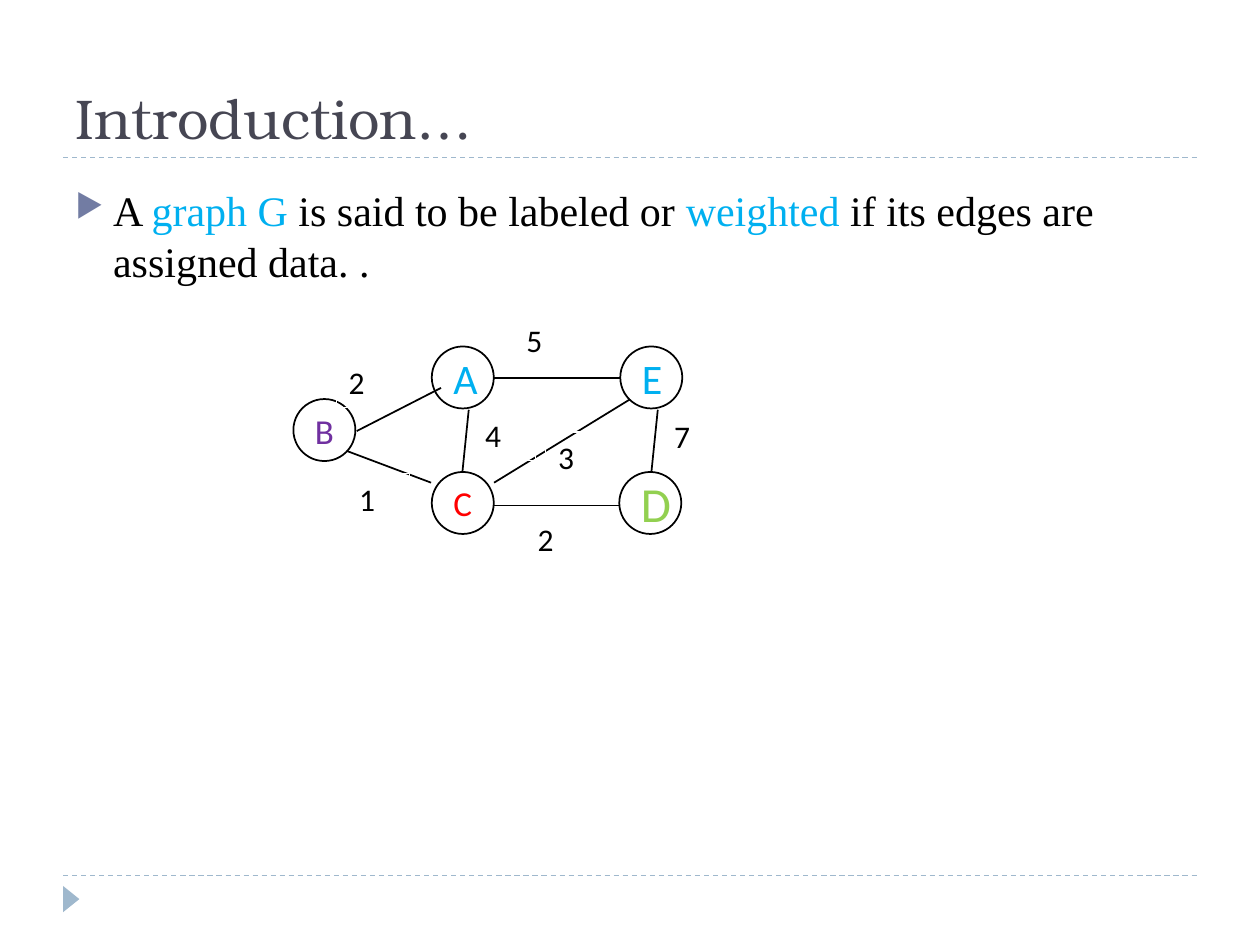
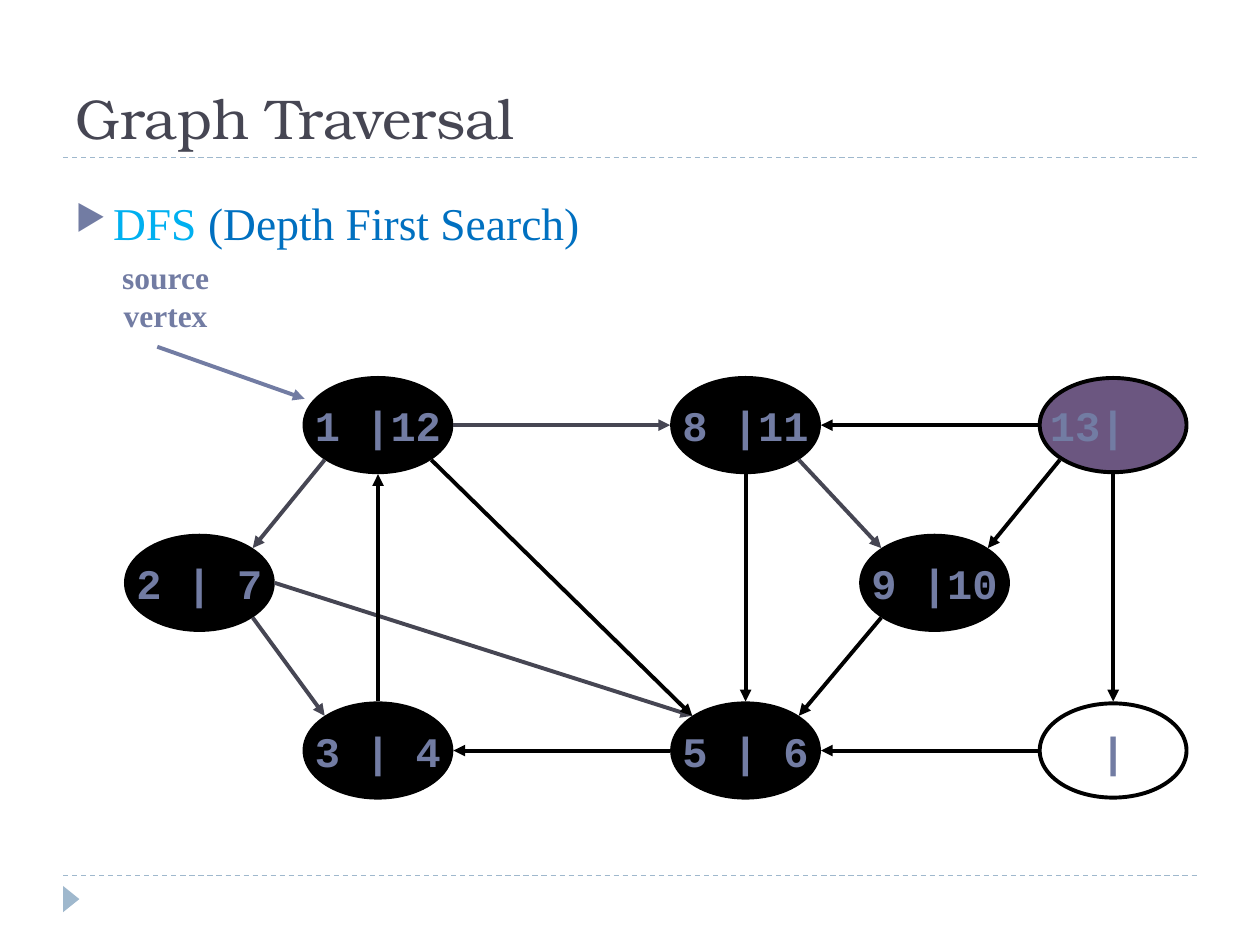
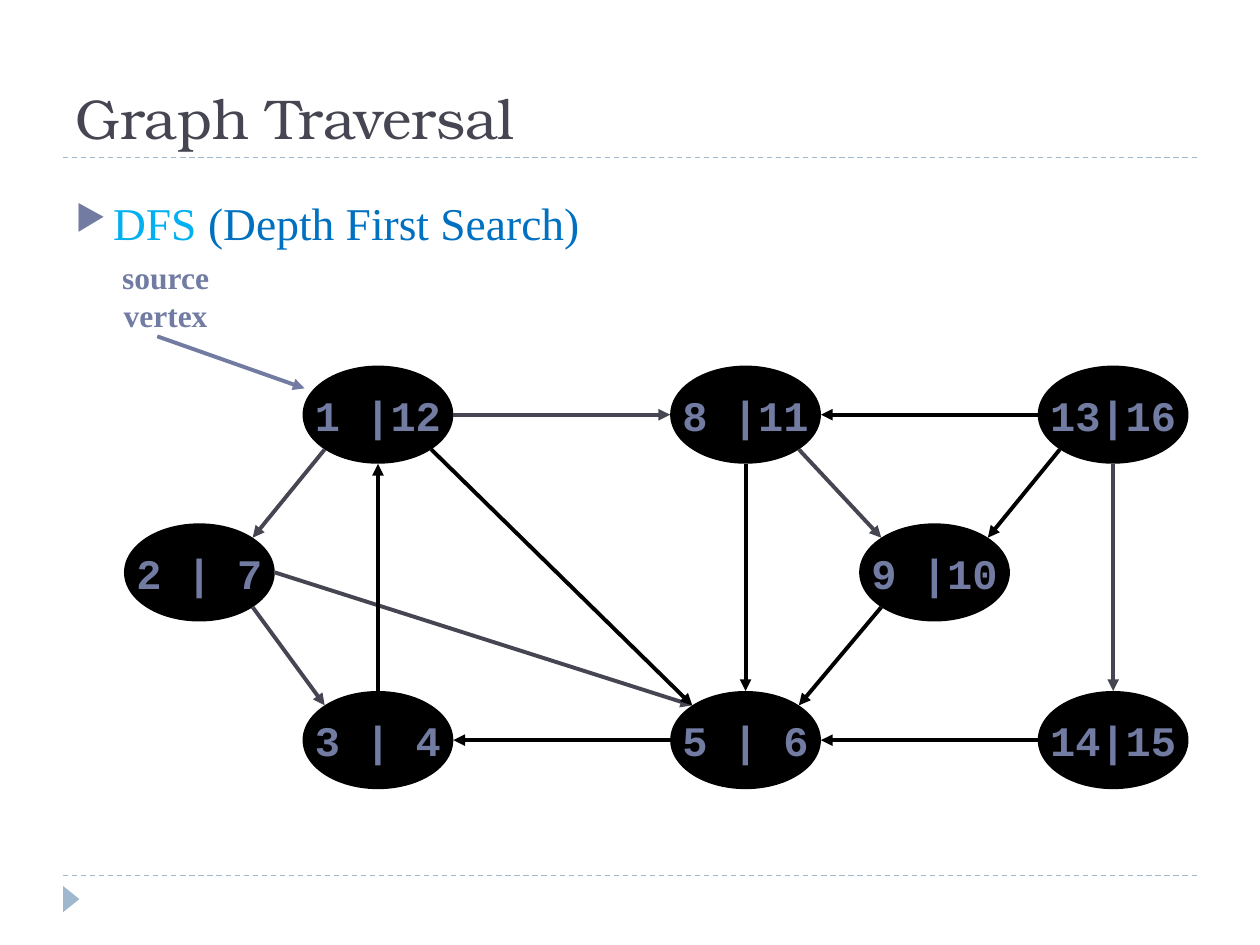
import math
from dataclasses import dataclass
from typing import NamedTuple

import pptx
import pptx.dml.color
import pptx.enum.dml
import pptx.enum.shapes
import pptx.enum.text
import pptx.oxml
import pptx.oxml.ns
import pptx.util

Cm = pptx.util.Cm
Pt = pptx.util.Pt
PRESET = pptx.enum.shapes.MSO_SHAPE
ANCHOR = pptx.enum.text.MSO_ANCHOR
ALIGN = pptx.enum.text.PP_ALIGN


@dataclass(frozen=True)
class Theme:
    title: str = "464653"
    rule: str = "9FB8CD"
    accent: str = "727CA3"
    black: str = "000000"
    white: str = "FFFFFF"
    sky: str = "00B0F0"
    blue: str = "0070C0"
    red: str = "FF0000"
    green: str = "92D050"
    purple: str = "7030A0"
    active: str = "6B5680"
    title_font: str = "TeX Gyre Bonum"
    body_font: str = "Times New Roman"
    label_font: str = "Calibri"
    time_font: str = "Courier New"
    title_size: int = 32
    search_size: int = 26
    body_size: int = 24
    small_size: int = 18
    thin: float = 0.75
    edge: float = 1
    arrow: float = 2.25


THEME = Theme()


class Point(NamedTuple):
    x: float
    y: float


class Box(NamedTuple):
    left: float
    top: float
    width: float
    height: float

    def lengths(self) -> list:
        return [Cm(value) for value in self]


class Run(NamedTuple):
    text: str
    font: str
    size: float
    color: str
    bold: bool = False


class WeightedNode(NamedTuple):
    letter: str
    center: Point
    size: int
    color: str


class WeightedEdge(NamedTuple):
    start: Point
    end: Point
    weight: str
    label_corner: Point


class Vertex(NamedTuple):
    center: Point
    times: str


class Arc(NamedTuple):
    """A directed edge; the sides are angles in degrees, clockwise from the right."""
    start: str
    start_side: int
    end: str
    end_side: int


RIGHT, BOTTOM_RIGHT, BOTTOM, BOTTOM_LEFT = 0, 45, 90, 135
LEFT, TOP_LEFT, TOP, TOP_RIGHT = 180, 225, 270, 315

NODE_SIZE = 1.25
WEIGHTED_NODES = [
    WeightedNode("A", Point(9.33, 7.61), 24, THEME.sky),
    WeightedNode("E", Point(13.13, 7.61), 24, THEME.sky),
    WeightedNode("C", Point(9.33, 10.14), 20, THEME.red),
    WeightedNode("D", Point(13.11, 10.14), 28, THEME.green),
    WeightedNode("B", Point(6.54, 8.67), 20, THEME.purple),
]
WEIGHTED_EDGES = [
    WeightedEdge(Point(7.19, 8.69), Point(8.89, 7.82), "2", Point(6.78, 7.19)),
    WeightedEdge(Point(6.99, 9.09), Point(8.69, 9.73), "1", Point(6.99, 9.55)),
    WeightedEdge(Point(9.96, 7.62), Point(12.5, 7.62), "5", Point(10.36, 6.35)),
    WeightedEdge(Point(9.32, 9.53), Point(9.45, 8.26), "4", Point(9.53, 8.26)),
    WeightedEdge(Point(9.93, 10.19), Point(12.47, 10.19), "2", Point(10.59, 10.36)),
    WeightedEdge(Point(13.13, 9.53), Point(13.26, 8.26), "7", Point(13.34, 8.28)),
    WeightedEdge(Point(9.96, 9.73), Point(12.7, 8.05), "3", Point(11, 8.71)),
]

VERTEX_WIDTH, VERTEX_HEIGHT = 2.96, 1.9
ARROW_GAP = 0.04
TOP_ROW, MIDDLE_ROW, BOTTOM_ROW = 8.57, 11.75, 15.13
VERTICES = {
    "s": Vertex(Point(7.62, TOP_ROW), "1 |12"),
    "u": Vertex(Point(15.03, TOP_ROW), "8 |11"),
    "v": Vertex(Point(22.44, TOP_ROW), "13|16"),
    "t": Vertex(Point(22.44, BOTTOM_ROW), "14|15"),
    "y": Vertex(Point(15.03, BOTTOM_ROW), "5 | 6"),
    "x": Vertex(Point(7.62, BOTTOM_ROW), "3 | 4"),
    "z": Vertex(Point(4.02, MIDDLE_ROW), "2 | 7"),
    "w": Vertex(Point(18.84, MIDDLE_ROW), "9 |10"),
}
TREE_ARCS = [
    Arc("s", BOTTOM_LEFT, "z", TOP_RIGHT),
    Arc("z", BOTTOM_RIGHT, "x", TOP_LEFT),
    Arc("z", RIGHT, "y", TOP_LEFT),
    Arc("s", RIGHT, "u", LEFT),
    Arc("u", BOTTOM_RIGHT, "w", TOP_LEFT),
]
OTHER_ARCS = [
    Arc("y", LEFT, "x", RIGHT),
    Arc("x", TOP, "s", BOTTOM),
    Arc("s", BOTTOM_RIGHT, "y", TOP_LEFT),
    Arc("u", BOTTOM, "y", TOP),
    Arc("v", LEFT, "u", RIGHT),
    Arc("v", BOTTOM_LEFT, "w", TOP_RIGHT),
    Arc("t", LEFT, "y", RIGHT),
    Arc("w", BOTTOM_LEFT, "y", TOP_RIGHT),
]
LAST_ARC = Arc("v", BOTTOM, "t", TOP)


def rgb(color: str) -> pptx.dml.color.RGBColor:
    return pptx.dml.color.RGBColor.from_string(color)


def add_run(paragraph, run: Run) -> None:
    part = paragraph.add_run()
    part.text = run.text
    part.font.name = run.font
    part.font.size = Pt(run.size)
    part.font.bold = run.bold
    part.font.color.rgb = rgb(run.color)


def add_text_box(slide, box: Box, runs: list[Run], anchor=ANCHOR.TOP, wrap: bool = True):
    """Add a one-paragraph text box and return its paragraph."""
    frame = slide.shapes.add_textbox(*box.lengths()).text_frame
    frame.word_wrap = wrap
    frame.vertical_anchor = anchor
    paragraph = frame.paragraphs[0]
    for run in runs:
        add_run(paragraph, run)
    return paragraph


def add_bullet_text(slide, top: float, height: float, runs: list[Run]) -> None:
    paragraph = add_text_box(slide, Box(1.27, top, 22.86, height), runs)
    properties = paragraph._p.get_or_add_pPr()
    properties.set("marL", str(Cm(0.76)))
    properties.set("indent", str(-Cm(0.76)))
    namespace = pptx.oxml.ns.nsdecls("a")
    for element in (
        f'<a:buClr {namespace}><a:srgbClr val="{THEME.accent}"/></a:buClr>',
        f'<a:buSzPct {namespace} val="76000"/>',
        f'<a:buChar {namespace} char="▶"/>',
    ):
        properties.append(pptx.oxml.parse_xml(element))


def add_line(slide, start: Point, end: Point, color: str, width: float,
             arrow: bool = False, dashed: bool = False) -> None:
    connector = slide.shapes.add_connector(
        pptx.enum.shapes.MSO_CONNECTOR.STRAIGHT,
        Cm(start.x), Cm(start.y), Cm(end.x), Cm(end.y))
    connector.line.color.rgb = rgb(color)
    connector.line.width = Pt(width)
    if dashed:
        connector.line.dash_style = pptx.enum.dml.MSO_LINE.DASH
    namespace = pptx.oxml.ns.nsdecls("a")
    properties = connector._element.spPr
    if arrow:
        outline = properties.find(pptx.oxml.ns.qn("a:ln"))
        outline.append(pptx.oxml.parse_xml(f'<a:tailEnd {namespace} type="triangle"/>'))
    properties.append(pptx.oxml.parse_xml(f"<a:effectLst {namespace}/>"))


def add_preset(slide, preset, box: Box, fill: str | None = None,
               line: str | None = None, line_width: float = THEME.thin):
    shape = slide.shapes.add_shape(preset, *box.lengths())
    shape.shadow.inherit = False
    if fill:
        shape.fill.solid()
        shape.fill.fore_color.rgb = rgb(fill)
    else:
        shape.fill.background()
    if line:
        shape.line.color.rgb = rgb(line)
        shape.line.width = Pt(line_width)
    else:
        shape.line.fill.background()
    return shape


def set_shape_text(shape, run: Run, align, anchor=ANCHOR.MIDDLE, wrap: bool = False) -> None:
    frame = shape.text_frame
    frame.word_wrap = wrap
    frame.vertical_anchor = anchor
    frame.paragraphs[0].alignment = align
    add_run(frame.paragraphs[0], run)


def box_around(center: Point, width: float, height: float) -> Box:
    return Box(center.x - width / 2, center.y - height / 2, width, height)


def add_titled_slide(presentation, title: str):
    slide = presentation.slides.add_slide(presentation.slide_layouts[6])
    for height in (17.65, 3.17):
        add_line(slide, Point(1.27, height), Point(24.13, height),
                 THEME.rule, THEME.thin, dashed=True)
    marker = add_preset(slide, PRESET.ISOSCELES_TRIANGLE,
                        Box(1.17, 17.96, 0.53, 0.33), THEME.rule)
    marker.rotation = 90
    add_text_box(slide, Box(1.27, 0.43, 22.86, 2.74),
                 [Run(title, THEME.title_font, THEME.title_size, THEME.title)],
                 ANCHOR.BOTTOM)
    return slide


def build_weighted_graph_slide(presentation) -> None:
    slide = add_titled_slide(presentation, "Introduction…")
    sentence = [
        ("A ", THEME.black),
        ("graph G", THEME.sky),
        (" is said to be labeled or ", THEME.black),
        ("weighted", THEME.sky),
        (" if its edges are assigned data. .", THEME.black),
    ]
    add_bullet_text(slide, 3.6, 2.4, [
        Run(text, THEME.body_font, THEME.body_size, color) for text, color in sentence])
    for node in WEIGHTED_NODES:
        circle = add_preset(slide, PRESET.OVAL, box_around(node.center, NODE_SIZE, NODE_SIZE),
                            THEME.white, THEME.black, THEME.edge)
        set_shape_text(circle, Run(node.letter, THEME.label_font, node.size, node.color),
                       ALIGN.LEFT)
    for edge in WEIGHTED_EDGES:
        add_line(slide, edge.start, edge.end, THEME.black, THEME.edge)
    for edge in WEIGHTED_EDGES:
        label = add_preset(slide, PRESET.RECTANGLE, Box(*edge.label_corner, 1.27, 1.02),
                           line=THEME.white)
        set_shape_text(label, Run(edge.weight, THEME.label_font, THEME.small_size, THEME.black),
                       ALIGN.LEFT, ANCHOR.TOP, wrap=True)


def add_vertex(slide, center: Point, times: str, fill: str | None) -> None:
    ellipse = add_preset(slide, PRESET.OVAL, box_around(center, VERTEX_WIDTH, VERTEX_HEIGHT),
                         fill, THEME.black, THEME.arrow)
    set_shape_text(ellipse, Run(times, THEME.time_font, THEME.body_size, THEME.accent, True),
                   ALIGN.CENTER)
    if times.endswith("|"):
        # Leaves room for the finishing time after a discovery time.
        ellipse.text_frame.margin_left = 0
        ellipse.text_frame.margin_right = Cm(1.02 if len(times) > 1 else 0)


def point_on_vertex(center: Point, side: int) -> Point:
    angle = math.radians(side)
    return Point(center.x + (VERTEX_WIDTH / 2 + ARROW_GAP) * math.cos(angle),
                 center.y + (VERTEX_HEIGHT / 2 + ARROW_GAP) * math.sin(angle))


def build_search_slide(presentation, rise: float, open_times: dict[str, str],
                       open_fills: dict[str, str | None], last_arc_in_tree: bool) -> None:
    """Draw one step of the search; vertices not listed as open are finished."""
    slide = add_titled_slide(presentation, "Graph Traversal")
    add_bullet_text(slide, 3.8, 1.4, [
        Run("DFS ", THEME.body_font, THEME.search_size, THEME.sky),
        Run("(Depth First Search)", THEME.body_font, THEME.search_size, THEME.blue)])
    source, vertex_word = [
        Run(word, THEME.body_font, THEME.small_size, THEME.accent, True)
        for word in ("source", "vertex")]
    caption = add_text_box(slide, Box(2.12, 5.08, 2.44, 1.96), [source], wrap=False)
    caption.alignment = ALIGN.CENTER
    caption.add_line_break()
    add_run(caption, vertex_word)

    centers = {name: Point(vertex.center.x, vertex.center.y - rise)
               for name, vertex in VERTICES.items()}
    for name, vertex in VERTICES.items():
        add_vertex(slide, centers[name], open_times.get(name, vertex.times),
                   open_fills.get(name, THEME.black))
    last_color = THEME.title if last_arc_in_tree else THEME.black
    colored_arcs = [(arc, THEME.title) for arc in TREE_ARCS]
    colored_arcs += [(arc, THEME.black) for arc in OTHER_ARCS]
    for arc, color in colored_arcs + [(LAST_ARC, last_color)]:
        add_line(slide, point_on_vertex(centers[arc.start], arc.start_side),
                 point_on_vertex(centers[arc.end], arc.end_side),
                 color, THEME.arrow, arrow=True)
    add_line(slide, Point(3.17, 6.99 - rise), Point(6.14, 8.04 - rise),
             THEME.accent, THEME.arrow, arrow=True)


def main() -> None:
    presentation = pptx.Presentation()
    presentation.slide_width = Cm(25.4)
    presentation.slide_height = Cm(19.05)
    build_weighted_graph_slide(presentation)
    build_search_slide(presentation, 0, {"v": "13|", "t": "|"},
                       {"v": THEME.active, "t": None}, last_arc_in_tree=False)
    build_search_slide(presentation, 0.21, {}, {}, last_arc_in_tree=True)
    presentation.save("out.pptx")


if __name__ == "__main__":
    main()
